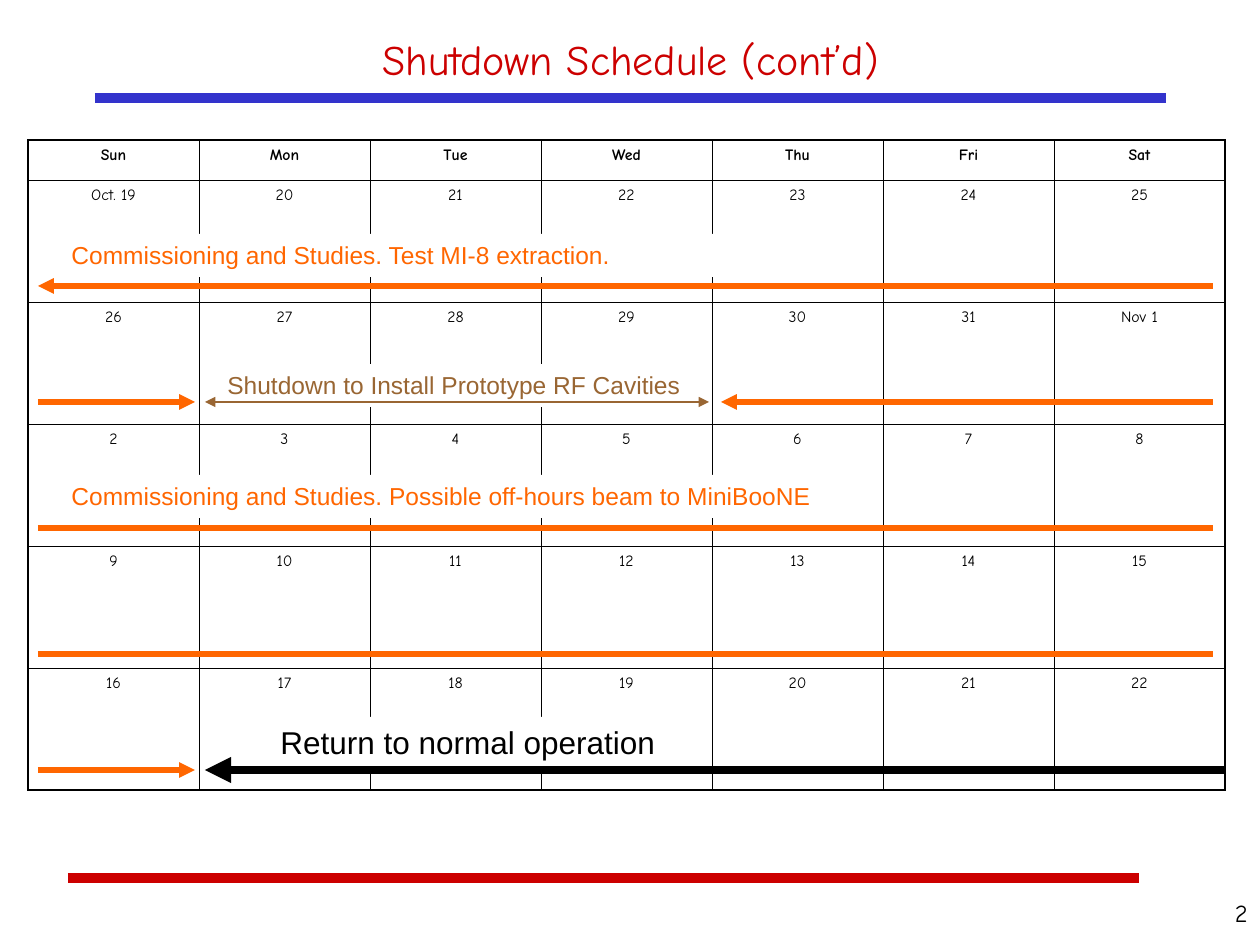
from dataclasses import dataclass

from lxml.etree import SubElement
from pptx import Presentation
from pptx.dml.color import RGBColor
from pptx.enum.shapes import MSO_CONNECTOR
from pptx.enum.text import MSO_ANCHOR, MSO_AUTO_SIZE, PP_ALIGN
from pptx.oxml.ns import qn
from pptx.slide import Slide
from pptx.util import Pt

EMU_PER_PX = 914400 / 126
RED = RGBColor(0xCC, 0x00, 0x00)
BLUE = RGBColor(0x33, 0x33, 0xCC)
ORANGE = RGBColor(0xFF, 0x66, 0x00)
BROWN = RGBColor(0x99, 0x66, 0x33)
BLACK = RGBColor(0x00, 0x00, 0x00)
WHITE = RGBColor(0xFF, 0xFF, 0xFF)

WEEKDAYS = ["Sun", "Mon", "Tue", "Wed", "Thu", "Fri", "Sat"]
DATES = ["Oct. 19", *map(str, range(20, 32)), "Nov 1", *map(str, range(2, 23))]


def px(length):
    """Turn pixels into EMU."""
    return round(length * EMU_PER_PX)


@dataclass
class ScheduleSlide:
    """Style and drawing methods for one calendar slide."""

    slide: Slide
    calendar_font: str = "Comic Neue"
    label_font: str = "Arial"
    inner_border: float = 0.45
    outer_border: float = 1.08

    def add_text(self, frame, text, font, size, color, align=PP_ALIGN.LEFT, bold=False):
        """Add one formatted run to the first paragraph of a frame."""
        paragraph = frame.paragraphs[0]
        paragraph.alignment = align
        run = paragraph.add_run()
        run.text = text
        run.font.name = font
        run.font.size = Pt(size)
        run.font.bold = bold
        run.font.color.rgb = color

    def title(self, text, left, top, width, height):
        """Fill and place the title placeholder."""
        shape = self.slide.shapes.title
        shape.left, shape.top = px(left), px(top)
        shape.width, shape.height = px(width), px(height)
        frame = shape.text_frame
        frame.word_wrap = True
        frame.auto_size = MSO_AUTO_SIZE.NONE
        frame.vertical_anchor = MSO_ANCHOR.MIDDLE
        self.add_text(frame, text, self.calendar_font, 24, RED, PP_ALIGN.CENTER)

    def line(self, start, end, y, color, weight, head=False, tail=False):
        """Draw a horizontal line with optional arrowheads."""
        connector = self.slide.shapes.add_connector(
            MSO_CONNECTOR.STRAIGHT, px(start), px(y), px(end), px(y))
        connector.line.color.rgb = color
        connector.line.width = Pt(weight)
        properties = connector._element.spPr
        outline = properties.find(qn("a:ln"))
        for tag, wanted in (("a:headEnd", head), ("a:tailEnd", tail)):
            if wanted:
                SubElement(outline, qn(tag), type="triangle")
        SubElement(properties, qn("a:effectLst"))

    def label(self, text, left, top, width, height, color, size=14, wrap=True):
        """Add a white label that covers the grid."""
        shape = self.slide.shapes.add_textbox(px(left), px(top), px(width), px(height))
        shape.fill.solid()
        shape.fill.fore_color.rgb = WHITE
        shape.text_frame.word_wrap = wrap
        shape.text_frame.auto_size = MSO_AUTO_SIZE.SHAPE_TO_FIT_TEXT
        self.add_text(shape.text_frame, text, self.label_font, size, color)

    def page_number(self, text, left, top, width, height):
        """Add the page number."""
        shape = self.slide.shapes.add_textbox(px(left), px(top), px(width), px(height))
        shape.text_frame.word_wrap = True
        self.add_text(shape.text_frame, text, self.calendar_font, 14, BLACK, PP_ALIGN.RIGHT)

    def border(self, cell, side, weight):
        """Draw one side of a cell."""
        properties = cell._tc.get_or_add_tcPr()
        edge = SubElement(properties, qn(f"a:ln{side}"), w=str(Pt(weight)))
        fill = SubElement(edge, qn("a:solidFill"))
        SubElement(fill, qn("a:srgbClr"), val=str(BLACK))

    def calendar(self, weekdays, dates, left, top, column_width, header_height, week_height):
        """Add the month table with a heavier outer frame."""
        columns = len(weekdays)
        texts = weekdays + dates
        rows = len(texts) // columns
        height = header_height + (rows - 1) * week_height
        table = self.slide.shapes.add_table(
            rows, columns, px(left), px(top), px(columns * column_width), px(height)).table
        for column in table.columns:
            column.width = px(column_width)
        for index, row in enumerate(table.rows):
            row.height = px(week_height if index else header_height)
        for index, text in enumerate(texts):
            row, column = divmod(index, columns)
            cell = table.cell(row, column)
            outer = {"L": column == 0, "R": column == columns - 1,
                     "T": row == 0, "B": row == rows - 1}
            for side, is_outer in outer.items():
                self.border(cell, side, self.outer_border if is_outer else self.inner_border)
            cell.fill.background()
            self.add_text(cell.text_frame, text, self.calendar_font, 9, BLACK,
                          PP_ALIGN.CENTER, bold=row == 0)


def main():
    """Build the schedule slide."""
    presentation = Presentation()
    presentation.slide_width, presentation.slide_height = px(1260), px(945)
    page = ScheduleSlide(presentation.slides.add_slide(presentation.slide_layouts[5]))

    page.line(68, 1139, 878, RED, 6)
    page.line(95, 1166, 98, BLUE, 6)
    page.title("Shutdown Schedule (cont’d)", 95, 22, 1071, 73)
    page.calendar(WEEKDAYS, DATES, 28, 140, 171, 40, 122)

    page.label("Shutdown to Install Prototype RF Cavities", 215, 364, 479, 43, BROWN, wrap=False)
    page.line(205, 709, 402, BROWN, 0.75, head=True, tail=True)
    page.label("Commissioning and Studies. Test MI-8 extraction.", 59, 234, 788, 43, ORANGE)
    page.label("Commissioning and Studies. Possible off-hours beam to MiniBooNE",
               59, 475, 788, 43, ORANGE)
    page.label("Return to normal operation", 268, 717, 420, 50, BLACK, size=18)

    page.line(38, 1213, 286, ORANGE, 3, head=True)
    page.line(721, 1213, 402, ORANGE, 3, head=True)
    for y in (528, 654):
        page.line(38, 1213, y, ORANGE, 3)
    for y in (402, 770):
        page.line(38, 195, y, ORANGE, 3, tail=True)
    page.line(205, 1225, 770, BLACK, 5, head=True)

    page.page_number("2", 1144, 892, 116, 53)
    presentation.save("out.pptx")


if __name__ == "__main__":
    main()
